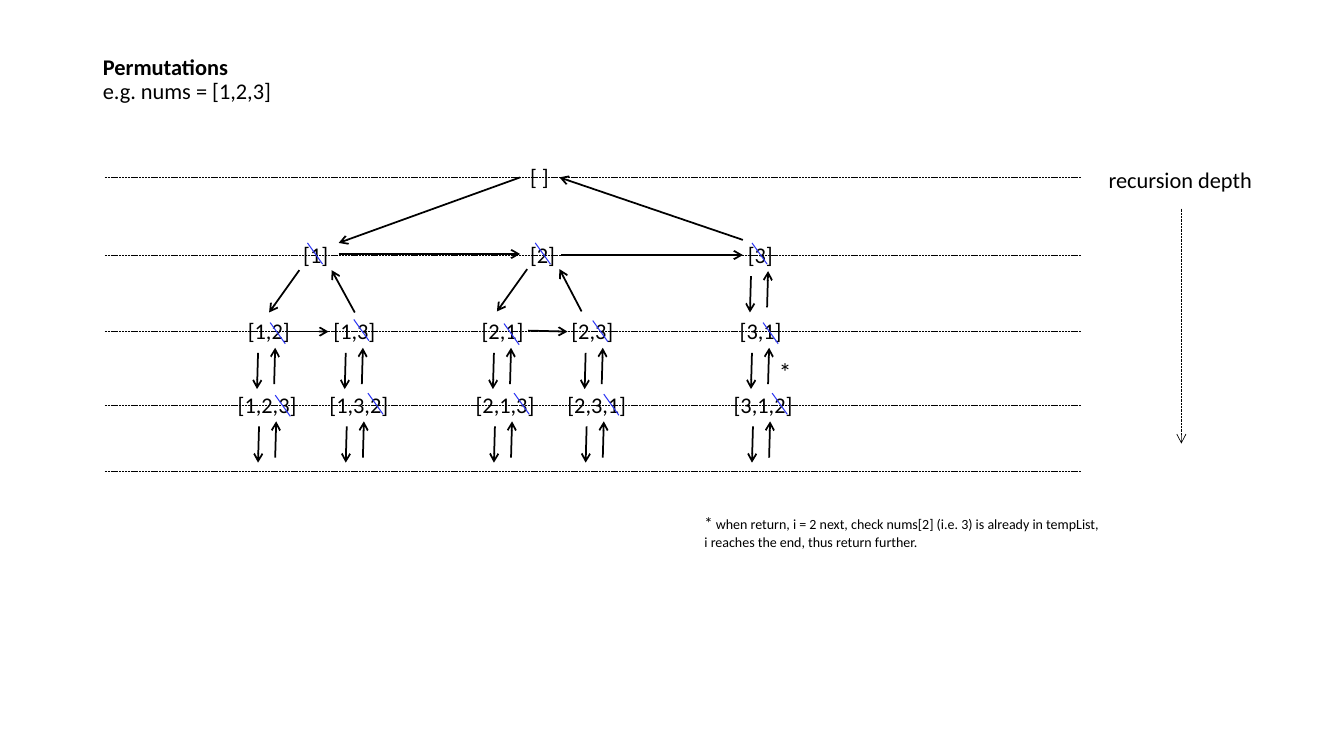
from dataclasses import dataclass
from typing import NamedTuple

from lxml.etree import SubElement
from pptx import Presentation
from pptx.dml.color import RGBColor
from pptx.enum.dml import MSO_LINE_DASH_STYLE as Dash
from pptx.enum.shapes import MSO_CONNECTOR as Connector
from pptx.enum.text import MSO_ANCHOR as Anchor, MSO_AUTO_SIZE as AutoSize, PP_ALIGN as Align
from pptx.oxml.ns import qn
from pptx.slide import Slide
from pptx.util import Inches, Length, Pt

BLACK = RGBColor(0x00, 0x00, 0x00)
BLUE = RGBColor(0x2E, 0x37, 0xF4)
FONT = "Calibri"

# All places are counted in square grid cells, ten to the inch.
CELL = Inches(0.1)
COLUMNS, ROWS = 133.33, 75
DEPTH_ROWS = [17.6, 25.3, 32.9, 40.2, 46.8]
GUIDE_LEFT, GUIDE_RIGHT = 10.4, 107.2
STRIKE_WIDTH, STRIKE_HEIGHT = 1.5, 2.1
LABEL_HEIGHT = 3.7


class Point(NamedTuple):
    column: float
    row: float


class Span(NamedTuple):
    text: str
    size: float = 16
    bold: bool = False


@dataclass(frozen=True)
class Stroke:
    color: RGBColor = BLACK
    width: float = 1.25
    dash: Dash | None = None
    arrow: bool = True


@dataclass(frozen=True)
class Node:
    """A list in the tree, its struck-out last number and its call-and-return arrows."""
    label: str
    depth: int
    left: float
    strike: Point | None = None
    call_column: float | None = None


ARROW = Stroke()
GUIDE = Stroke(width=0.5, dash=Dash.SQUARE_DOT, arrow=False)
STRIKE = Stroke(color=BLUE, width=0.75, arrow=False)
DEPTH_ARROW = Stroke(width=0.5, dash=Dash.ROUND_DOT)

NODES = [
    Node("[ ]", 0, 51.6),
    Node("[1]", 1, 29.1, Point(30.5, 24.1)),
    Node("[2]", 1, 51.6, Point(53.1, 24.1)),
    Node("[3]", 1, 73.2, Point(74.6, 24.1), 74.5),
    Node("[1,2]", 2, 23.6, Point(26.8, 32.0), 25.6),
    Node("[1,3]", 2, 32.1, Point(35.1, 31.7), 34.3),
    Node("[2,1]", 2, 46.8, Point(50.0, 32.1), 49.0),
    Node("[2,3]", 2, 55.7, Point(58.8, 31.8), 58.1),
    Node("[3,1]", 2, 72.4, Point(75.7, 32.0), 74.6),
    Node("[1,2,3]", 3, 22.6, Point(27.3, 39.2), 25.7),
    Node("[1,3,2]", 3, 31.7, Point(36.5, 39.0), 34.4),
    Node("[2,1,3]", 3, 46.2, Point(51.0, 39.0), 49.1),
    Node("[2,3,1]", 3, 55.3, Point(59.9, 39.1), 58.2),
    Node("[3,1,2]", 3, 71.8, Point(76.6, 39.0), 74.7),
]

TREE_ARROWS = [
    (Point(51.6, 17.6), Point(33.6, 24.1)),
    (Point(33.6, 25.2), Point(51.6, 25.2)),
    (Point(55.7, 25.3), Point(73.7, 25.3)),
    (Point(73.7, 23.8), Point(55.5, 17.6)),
    (Point(29.7, 26.8), Point(26.7, 31.0)),
    (Point(28.7, 32.9), Point(32.6, 32.9)),
    (Point(35.2, 31.0), Point(32.9, 26.8)),
    (Point(52.3, 26.7), Point(49.3, 30.9)),
    (Point(52.4, 32.8), Point(56.3, 32.9)),
    (Point(57.7, 30.9), Point(55.5, 26.7)),
]

FOOTNOTE = [
    [Span("*", 12),
     Span(" when return, i = 2 next, check nums[2] (i.e. 3) is already in tempList,", 10)],
    [Span("i reaches the end, thus return further.", 10)],
]


def cells(count: float) -> Length:
    return Length(round(count * CELL))


def add_span(para, span: Span) -> None:
    run = para.add_run()
    run.text = span.text
    run.font.name = FONT
    run.font.size = Pt(span.size)
    run.font.bold = span.bold
    run.font.color.rgb = BLACK


def add_text(slide: Slide, corner: Point, width: float, height: float,
             lines: list[list[Span]]) -> None:
    box = slide.shapes.add_textbox(*map(cells, (*corner, width, height)))
    frame = box.text_frame
    frame.word_wrap = False
    frame.auto_size = AutoSize.SHAPE_TO_FIT_TEXT
    for index, spans in enumerate(lines):
        para = frame.add_paragraph() if index else frame.paragraphs[0]
        for span in spans:
            add_span(para, span)


def add_line(slide: Slide, start: Point, end: Point, stroke: Stroke) -> None:
    connector = slide.shapes.add_connector(Connector.STRAIGHT, *map(cells, (*start, *end)))
    line = connector.line
    line.color.rgb = stroke.color
    line.width = Pt(stroke.width)
    if stroke.dash is not None:
        line.dash_style = stroke.dash
    properties = connector._element.spPr
    if stroke.arrow:
        SubElement(properties.find(qn("a:ln")), qn("a:tailEnd"), type="arrow")
    SubElement(properties, qn("a:effectLst"))


def add_title(slide: Slide) -> None:
    title = slide.shapes.title
    title.left, title.top, title.width, title.height = map(cells, (9.2, 4, 115, 7.9))
    frame = title.text_frame
    frame.vertical_anchor = Anchor.MIDDLE
    frame.auto_size = AutoSize.NONE
    para = frame.paragraphs[0]
    para.alignment = Align.LEFT
    para.line_spacing = 0.9
    add_span(para, Span("Permutations ", bold=True))
    para.add_line_break()
    add_span(para, Span("e.g. nums = [1,2,3]"))


def add_node(slide: Slide, node: Node) -> None:
    row = DEPTH_ROWS[node.depth]
    width = 4.5 + 0.85 * (len(node.label) - 3)
    add_text(slide, Point(node.left, row - 1.9), width, LABEL_HEIGHT, [[Span(node.label)]])
    if node.strike is not None:
        column, top = node.strike
        add_line(slide, node.strike, Point(column + STRIKE_WIDTH, top + STRIKE_HEIGHT), STRIKE)
    if node.call_column is not None:
        column, top = node.call_column, row + 2.1
        add_line(slide, Point(column, top), Point(column - 0.1, top + 3.6), ARROW)
        add_line(slide, Point(column + 1.6, top + 3.1), Point(column + 1.7, top - 0.5), ARROW)


def main() -> None:
    deck = Presentation()
    deck.slide_width, deck.slide_height = cells(COLUMNS), cells(ROWS)
    page = deck.slides.add_slide(deck.slide_layouts[5])
    add_title(page)
    for row in DEPTH_ROWS:
        add_line(page, Point(GUIDE_LEFT, row), Point(GUIDE_RIGHT, row), GUIDE)
    for node in NODES:
        add_node(page, node)
    for start, end in TREE_ARROWS:
        add_line(page, start, end, ARROW)
    add_text(page, Point(76.3, 34.9), 3.3, 4, [[Span("*", 18)]])
    add_text(page, Point(68.9, 50.4), 41.7, 4.7, FOOTNOTE)
    add_text(page, Point(109, 16), 16.4, LABEL_HEIGHT, [[Span("recursion depth")]])
    add_line(page, Point(117.2, 20.7), Point(117.2, 44), DEPTH_ARROW)
    deck.save("out.pptx")


if __name__ == "__main__":
    main()
